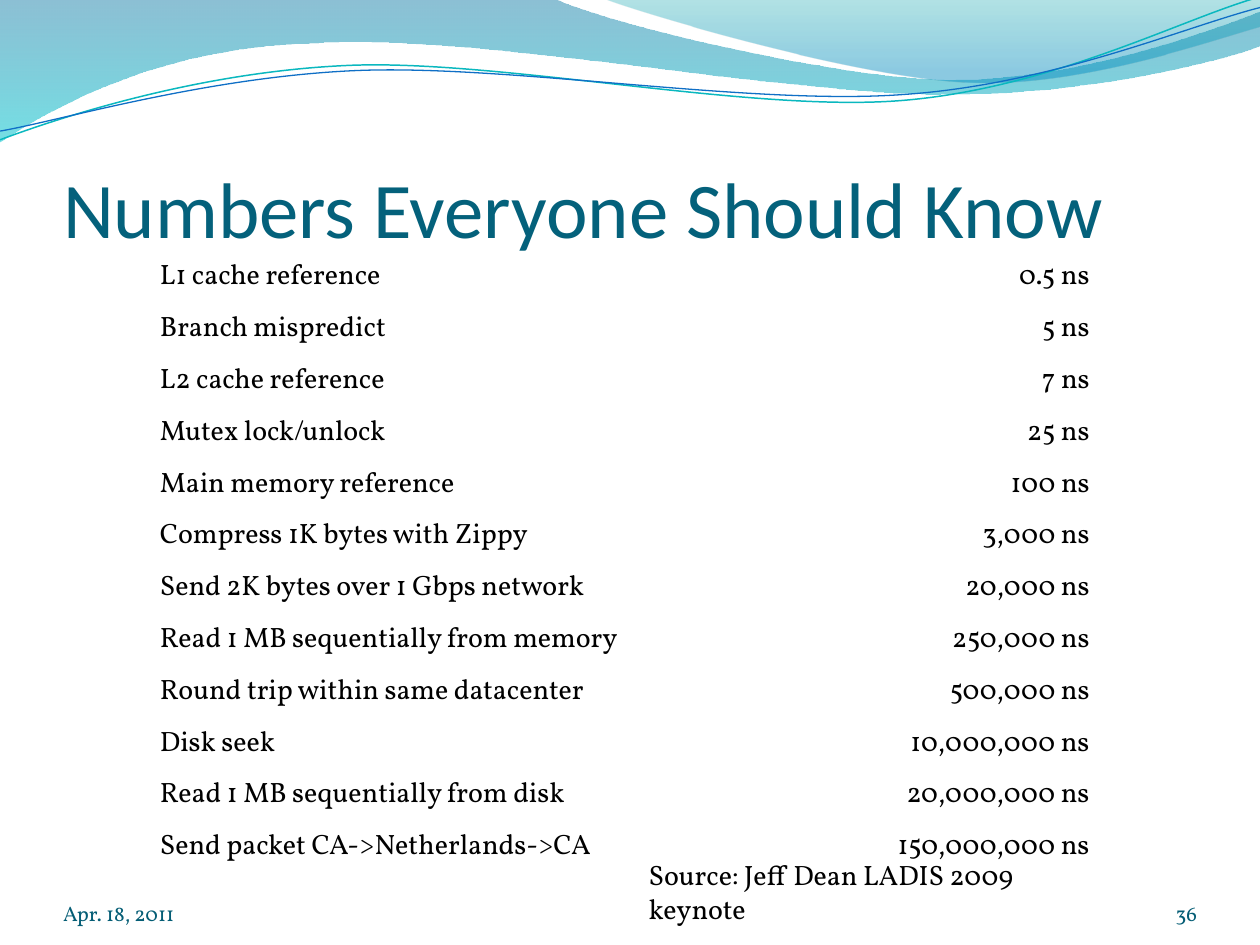
from lxml.etree import SubElement
from pptx import Presentation
from pptx.dml.color import RGBColor
from pptx.enum.text import MSO_ANCHOR, PP_ALIGN
from pptx.oxml.ns import qn
from pptx.util import Pt

THEME = {
    "head": "Calibri", "body": "Vollkorn",
    "title": "04617B", "foot": "045D75", "ink": "000000", "rule": "FFFFFF",
    "big": 45, "mid": 16, "small": 12,
}

TITLE = "Numbers Everyone Should Know"
DATE, PAGE = "Apr. 18, 2011", "36"
SOURCE = "Source: Jeff Dean LADIS 2009 keynote"
TIMES = [
    ("L1 cache reference", "0.5 ns"),
    ("Branch mispredict", "5 ns"),
    ("L2 cache reference", "7 ns"),
    ("Mutex lock/unlock", "25 ns"),
    ("Main memory reference", "100 ns"),
    ("Compress 1K bytes with Zippy", "3,000 ns"),
    ("Send 2K bytes over 1 Gbps network", "20,000 ns"),
    ("Read 1 MB sequentially from memory", "250,000 ns"),
    ("Round trip within same datacenter", "500,000 ns"),
    ("Disk seek", "10,000,000 ns"),
    ("Read 1 MB sequentially from disk", "20,000,000 ns"),
    ("Send packet CA->Netherlands->CA", "150,000,000 ns"),
]

# Each path is a start point, then steps: one point is a line, three a Bezier.
# Stops are (position, colour, opacity in percent).
BANDS = [
    ([(0, 0), [(316.8, -0.7)],
      [(342.7, 12.2), (478.1, 45.4), (545.8, 45.4)],
      [(614.2, 45.4), (689.8, 18.7), (720, 6.5)],
      [(720.7, 25.9)],
      [(707.8, 31.7), (626.4, 54.7), (537.1, 54)],
      [(447.8, 54), (275, 20.2), (185, 24.5)],
      [(92.9, 25.9), (33.1, 59.8), (-0.7, 81.4)]],
     [(0, "0074A1", 45), (1, "00C6CF", 55)]),
    ([(344.9, -0.7),
      [(366.5, 7.9), (491, 44.6), (553.7, 46.8)],
      [(616.3, 49.7), (691.9, 23), (720, 15.1)],
      [(720, 0)]],
     [(0, "00A1A9", 30), (0.8, "008BBF", 45)]),
]
WAVES = [
    ([(0, 79.9),
      [(34.6, 67), (113.8, 41), (199.4, 37.4)],
      [(284.4, 33.8), (427, 64.1), (513.4, 57.6)],
      [(599.8, 51.1), (675.4, 10.8), (718.6, -1.4)]], "0AB8BF", 0.85),
    ([(0, 74.9),
      [(33.8, 69.1), (118.1, 43.9), (203.8, 40.3)],
      [(290.2, 36.7), (429.8, 60.5), (516.2, 54)],
      [(601.9, 48.2), (677.5, 15.1), (720, 4.3)]], "0F6FC6", 0.75),
]


def color(key):
    return RGBColor.from_string(THEME.get(key, key))


def outline(slide, path, close):
    """Draw the path's points as a freeform, then turn each triple into a Bezier."""
    start, *steps = path
    form = slide.shapes.build_freeform(*map(Pt, start))
    form.add_line_segments([tuple(map(Pt, p)) for step in steps for p in step], close)
    shape = form.convert_to_shape()
    shape.shadow.inherit = False
    lines = iter(list(shape.element.iter(qn("a:lnTo"))))
    for step in steps:
        nodes = [next(lines) for _ in step]
        if len(nodes) == 3:
            nodes[0].tag = qn("a:cubicBezTo")
            for node in nodes[1:]:
                nodes[0].append(node[0])
                node.getparent().remove(node)
    return shape


def add_band(slide, path, stops):
    shape = outline(slide, path, True)
    shape.line.fill.background()
    shape.fill.gradient()
    shape.fill.gradient_angle = 270
    for stop, (pos, tone, _) in zip(shape.fill.gradient_stops, stops):
        stop.position = pos
        stop.color.rgb = color(tone)
    tones = shape.element.spPr.find(qn("a:gradFill")).iter(qn("a:srgbClr"))
    for node, (_, _, alpha) in zip(list(tones), stops):
        SubElement(node, qn("a:alpha"), val=str(alpha * 1000))


def add_wave(slide, path, tone, width):
    shape = outline(slide, path, False)
    shape.fill.background()
    shape.line.color.rgb = color(tone)
    shape.line.width = Pt(width)


def write(frame, text, size, tone, face="body", align=PP_ALIGN.LEFT):
    frame.text = text
    para = frame.paragraphs[0]
    para.alignment = align
    font = para.runs[0].font
    font.name, font.size, font.color.rgb = THEME[face], Pt(THEME[size]), color(tone)


def pad(frame, top=0):
    """Anchor text at the bottom, with no margin but the top one."""
    frame.word_wrap = True
    frame.vertical_anchor = MSO_ANCHOR.BOTTOM
    frame.margin_left = frame.margin_right = frame.margin_bottom = 0
    frame.margin_top = Pt(top)


def add_text(slide, box, *style, **more):
    frame = slide.shapes.add_textbox(*map(Pt, box)).text_frame
    frame.word_wrap = True
    write(frame, *style, **more)
    return frame


def add_title(slide):
    title = slide.shapes.title
    title.left, title.top, title.width, title.height = map(Pt, (36, 55.5, 654, 90))
    pad(title.text_frame, 3.6)
    write(title.text_frame, TITLE, "big", "title", "head")
    slide.shapes.element.append(title.element)


def add_rules(cell):
    props = cell._tc.get_or_add_tcPr()
    for i, side in enumerate(("lnL", "lnR", "lnT", "lnB")):
        line = SubElement(props, qn("a:" + side), w=str(Pt(1)))
        fill = SubElement(line, qn("a:solidFill"))
        SubElement(fill, qn("a:srgbClr"), val=THEME["rule"])
        props.insert(i, line)


def add_times(slide):
    widths, high = (368.6, 177.1), 29.6
    table = slide.shapes.add_table(
        len(TIMES), 2, Pt(84.2), Pt(144), Pt(sum(widths)), Pt(high * len(TIMES))).table
    table.first_row = table.horz_banding = False
    for col, width in zip(table.columns, widths):
        col.width = Pt(width)
    for r, row in enumerate(TIMES):
        table.rows[r].height = Pt(high)
        for c, align in enumerate((PP_ALIGN.LEFT, PP_ALIGN.RIGHT)):
            cell = table.cell(r, c)
            write(cell.text_frame, row[c], "mid", "ink", align=align)
            cell.fill.background()
            add_rules(cell)


def main():
    deck = Presentation()
    deck.slide_width, deck.slide_height = Pt(720), Pt(540)
    slide = deck.slides.add_slide(deck.slide_layouts[5])
    for band in BANDS:
        add_band(slide, *band)
    for wave in WAVES:
        add_wave(slide, *wave)
    add_title(slide)
    pad(add_text(slide, (36, 500.4, 168, 28.8), DATE, "small", "foot"))
    pad(add_text(slide, (624, 500.4, 60, 28.8), PAGE, "small", "foot",
                 align=PP_ALIGN.RIGHT))
    add_times(slide)
    add_text(slide, (363.6, 486.7, 279, 26.6), SOURCE, "mid", "ink")
    deck.save("out.pptx")


if __name__ == "__main__":
    main()
